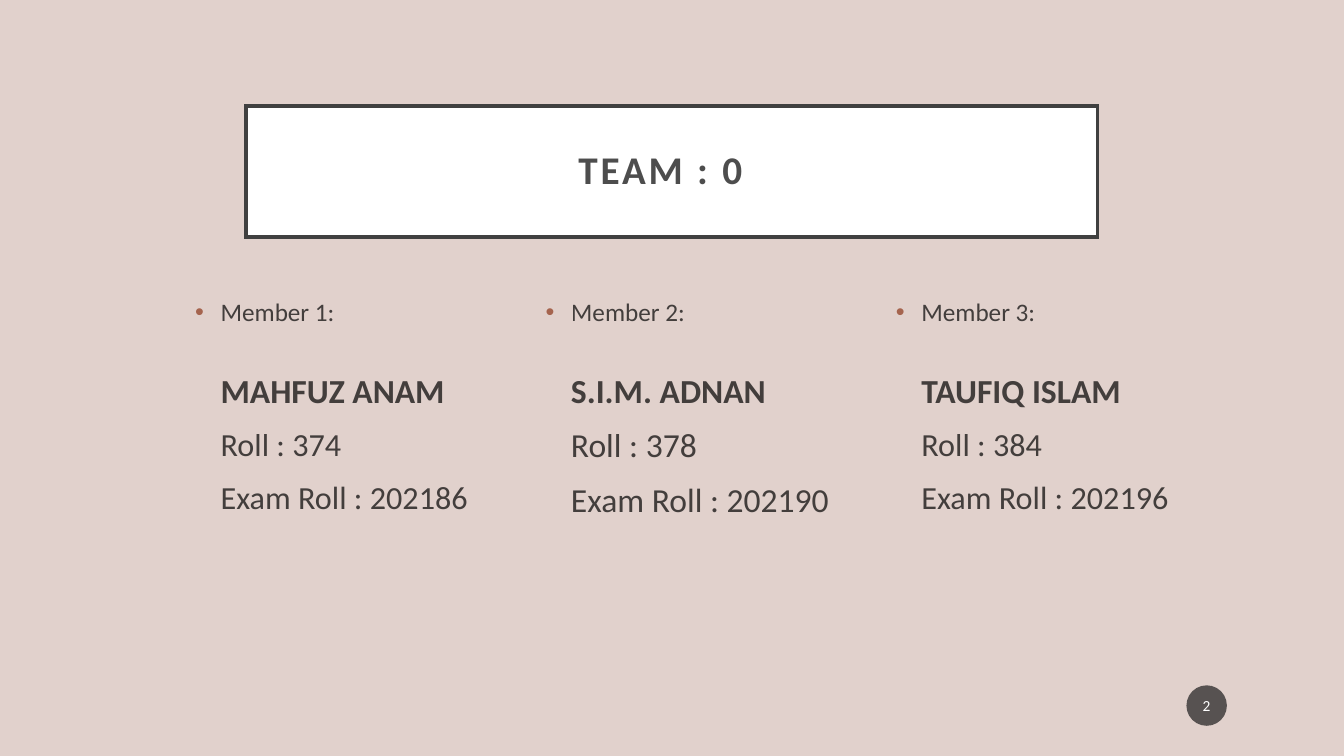
"""Build the team slide with its title, three member columns and page number."""
from lxml import etree
from pptx import Presentation
from pptx.dml.color import RGBColor
from pptx.enum.shapes import MSO_SHAPE
from pptx.enum.text import MSO_ANCHOR, PP_ALIGN
from pptx.oxml.ns import qn
from pptx.util import Cm, Pt

RECT, OVAL = MSO_SHAPE.RECTANGLE, MSO_SHAPE.OVAL
MIDDLE, CENTER = MSO_ANCHOR.MIDDLE, PP_ALIGN.CENTER

BACKGROUND = RGBColor(0xE1, 0xD1, 0xCC)
WHITE = RGBColor(0xFF, 0xFF, 0xFF)
BLACK = RGBColor(0x00, 0x00, 0x00)
TITLE = RGBColor(0x4D, 0x4D, 0x4D)
FRAME = RGBColor(0x40, 0x40, 0x40)
BADGE = RGBColor(0x1D, 0x1D, 0x1D)
BULLET = RGBColor(0xA5, 0x64, 0x4E)

MEMBERS = [
    ("Member 1:", "MAHFUZ ANAM", "Roll : 374", "Exam Roll : 202186", 23),
    ("Member 2:", "S.I.M. ADNAN", "Roll : 378", "Exam Roll : 202190", 24),
    ("Member 3:", "TAUFIQ ISLAM", "Roll : 384", "Exam Roll : 202196", 23),
]
COLUMN_LEFT, COLUMN_PITCH = 4.67, 8.83


class SlideBuilder:
    """Hold the text style and the current slide."""

    font = "Calibri"
    opacity = 70

    def __init__(self, prs):
        self.s = prs.slides.add_slide(prs.slide_layouts[6])
        fill = self.s.background.fill
        fill.solid()
        fill.fore_color.rgb = BACKGROUND

    def fade(self, element):
        """Make the first colour under an element partly transparent."""
        color = next(element.iter(qn("a:srgbClr")))
        etree.SubElement(color, qn("a:alpha"), val=str(self.opacity * 1000))

    def run(self, p, text, size, bold=False, color=BLACK):
        """Add one styled run to a paragraph."""
        r = p.add_run()
        r.text = text
        r.font.name, r.font.size, r.font.bold = self.font, Pt(size), bold
        r.font.color.rgb = color
        if color == BLACK:
            self.fade(r.font._element)
        return r

    def indent(self, p, bullet=False):
        """Indent a paragraph and hang a bullet if asked."""
        pPr = p._p.get_or_add_pPr()
        pPr.set("marL", str(Cm(0.64)))
        pPr.set("indent", str(-Cm(0.64) if bullet else 0))
        if bullet:
            color = etree.SubElement(pPr, qn("a:buClr"))
            etree.SubElement(color, qn("a:srgbClr"), val=str(BULLET))
            etree.SubElement(pPr, qn("a:buFont"), typeface="Arial")
            etree.SubElement(pPr, qn("a:buChar"), char="•")

    def box(self, kind, left, top, width, height, color, inset):
        """Add a filled shape and return it with its centred paragraph."""
        sp = self.s.shapes.add_shape(kind, Cm(left), Cm(top), Cm(width), Cm(height))
        sp.shadow.inherit = False
        sp.fill.solid()
        sp.fill.fore_color.rgb = color
        tf = sp.text_frame
        tf.vertical_anchor = MIDDLE
        tf.margin_left = tf.margin_right = Cm(inset)
        p = tf.paragraphs[0]
        p.alignment = CENTER
        return sp, p

    def title(self, text):
        """Add the framed title, set slightly left of centre."""
        sp, p = self.box(RECT, 6.2, 2.67, 21.46, 3.3, WHITE, 0.51)
        sp.text_frame.margin_right = Cm(1.08)
        sp.line.color.rgb = FRAME
        sp.line.width = Pt(2.5)
        etree.SubElement(sp.line._ln, qn("a:miter"), lim="800000")
        p.line_spacing = 0.9
        r = self.run(p, text, 28, bold=True, color=TITLE)
        r.font._element.set("spc", "200")

    def member(self, left, label, name, roll, exam, size):
        """Add one member column."""
        sp = self.s.shapes.add_textbox(Cm(left), Cm(7.34), Cm(8.31), Cm(8.61))
        tf = sp.text_frame
        tf.word_wrap = True
        lines = [(label, 18, 10), (name, 24, 31), (roll, size, 10), (exam, size, 10)]
        for i, (text, points, before) in enumerate(lines):
            p = tf.add_paragraph() if i else tf.paragraphs[0]
            p.space_before = Pt(before)
            self.indent(p, bullet=text == label)
            self.run(p, text, points, bold=text == name)

    def page_number(self, text):
        """Add the round page number."""
        sp, p = self.box(OVAL, 29.9, 17.27, 1.02, 1.02, BADGE, 0.05)
        self.fade(sp._element.spPr)
        sp.line.fill.background()
        self.run(p, text, 11, color=WHITE)


def main():
    prs = Presentation()
    prs.slide_width, prs.slide_height = Cm(33.87), Cm(19.05)
    builder = SlideBuilder(prs)
    builder.title("TEAM : 0")
    for i, member in enumerate(MEMBERS):
        builder.member(COLUMN_LEFT + i * COLUMN_PITCH, *member)
    builder.page_number("2")
    prs.save("out.pptx")


if __name__ == "__main__":
    main()
